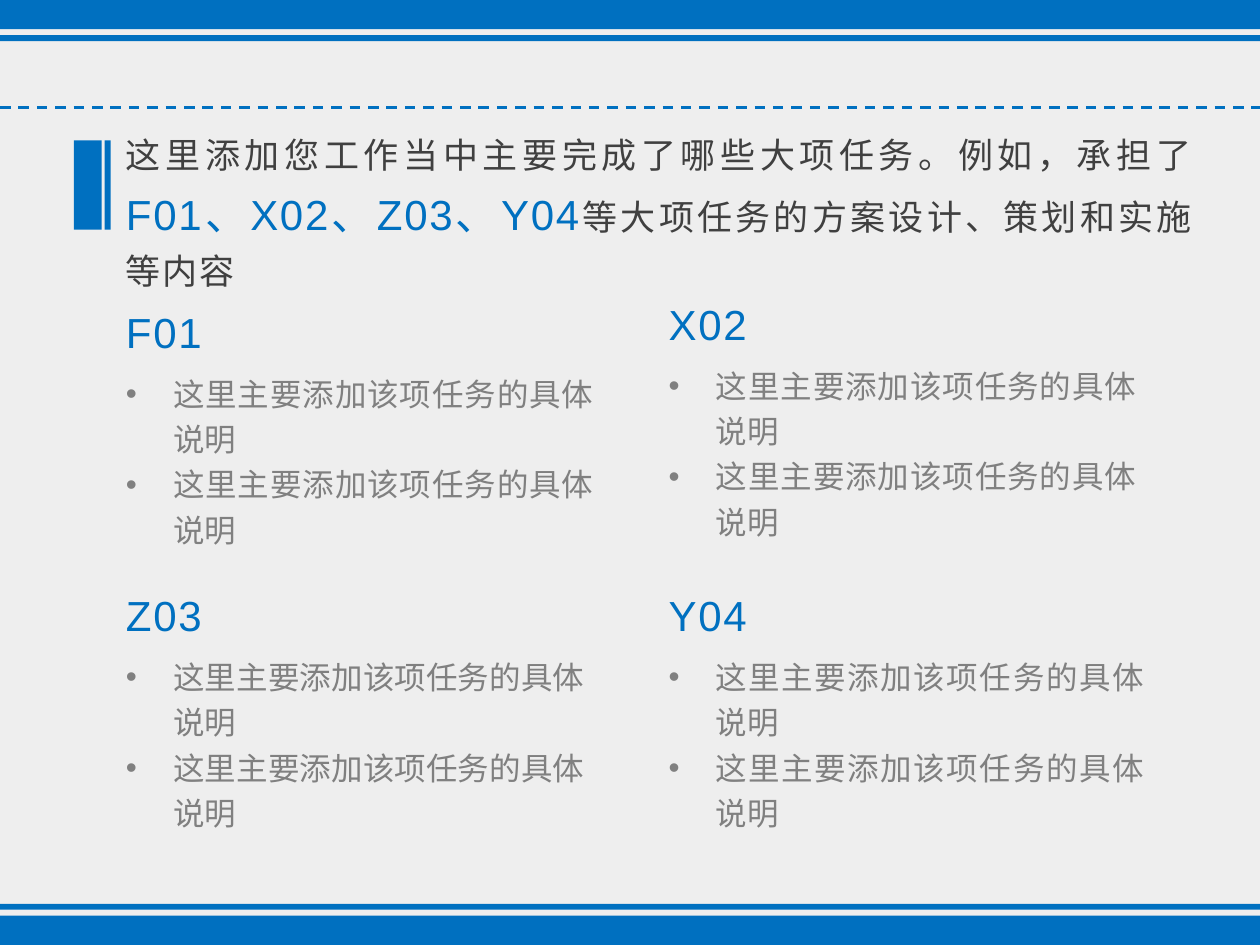
from lxml.etree import SubElement
from pptx import Presentation
from pptx.dml.color import RGBColor
from pptx.enum.dml import MSO_LINE
from pptx.enum.shapes import MSO_CONNECTOR, MSO_SHAPE
from pptx.enum.text import MSO_AUTO_SIZE, PP_ALIGN
from pptx.oxml.ns import qn
from pptx.util import Cm, Pt

BLUE = RGBColor(0x00, 0x70, 0xC0)
DARK_GRAY = RGBColor(0x40, 0x40, 0x40)
GRAY = RGBColor(0x80, 0x80, 0x80)
BACKGROUND = RGBColor(0xEE, 0xEE, 0xEE)

LATIN_FONT = "Arial"
CHINESE_FONT = "Noto Sans CJK SC"
WIDTH, HEIGHT = 25.4, 19.05
BULLET_INDENT = Cm(0.95)
TASK_DETAILS = ["这里主要添加该项任务的具体说明"] * 2
# Name, left, top, width, height in centimetres
TASKS = [
    ("F01", 2.29, 6.05, 9.93, 5.18),
    ("X02", 13.23, 5.89, 9.93, 6.12),
    ("Z03", 2.29, 11.76, 9.75, 5.33),
    ("Y04", 13.23, 11.76, 10.08, 6.12),
]


def add_bar(slide, left, top, width, height):
    shape = slide.shapes.add_shape(
        MSO_SHAPE.RECTANGLE, Cm(left), Cm(top), Cm(width), Cm(height))
    shape.shadow.inherit = False
    shape.fill.solid()
    shape.fill.fore_color.rgb = BLUE
    shape.line.fill.background()


def add_dashed_line(slide, top):
    connector = slide.shapes.add_connector(
        MSO_CONNECTOR.STRAIGHT, 0, Cm(top), Cm(WIDTH), Cm(top))
    connector.line.color.rgb = BLUE
    connector.line.width = Pt(1.5)
    connector.line.dash_style = MSO_LINE.DASH
    SubElement(connector._element.spPr, qn("a:effectLst"))


def add_text_box(slide, left, top, width, height):
    text_box = slide.shapes.add_textbox(
        Cm(left), Cm(top), Cm(width), Cm(height))
    text_frame = text_box.text_frame
    text_frame.word_wrap = True
    text_frame.auto_size = MSO_AUTO_SIZE.SHAPE_TO_FIT_TEXT
    return text_frame


def add_run(paragraph, text, size, color, font_name, spacing=0):
    """Add a run; spacing is the gap between letters in points."""
    run = paragraph.add_run()
    run.text = text
    run.font.size = Pt(size)
    run.font.color.rgb = color
    run.font.name = font_name
    properties = run.font._element
    SubElement(properties, qn("a:ea")).set("typeface", CHINESE_FONT)
    properties.set("spc", str(spacing * 100))


def add_bullet(paragraph):
    properties = paragraph._p.get_or_add_pPr()
    properties.set("marL", str(BULLET_INDENT))
    properties.set("indent", str(-BULLET_INDENT))
    SubElement(properties, qn("a:buFont")).set("typeface", LATIN_FONT)
    SubElement(properties, qn("a:buChar")).set("char", "•")


def add_summary(slide):
    text_frame = add_text_box(slide, 2.29, 2.36, 22.02, 3.68)
    paragraph = text_frame.paragraphs[0]
    paragraph.alignment = PP_ALIGN.JUSTIFY
    paragraph.line_spacing = 1.25
    add_run(paragraph, "这里添加您工作当中主要完成了哪些大项任务。例如，承担了",
            20, DARK_GRAY, CHINESE_FONT, 1)
    add_run(paragraph, "F01、X02、Z03、Y04", 24, BLUE, LATIN_FONT, 1)
    add_run(paragraph, "等大项任务的方案设计、策划和实施等内容",
            20, DARK_GRAY, CHINESE_FONT, 1)


def add_task(slide, name, left, top, width, height):
    text_frame = add_text_box(slide, left, top, width, height)
    heading = text_frame.paragraphs[0]
    heading.alignment = PP_ALIGN.JUSTIFY
    heading.space_after = Pt(6)
    add_run(heading, name, 24, BLUE, LATIN_FONT, 1)
    for detail in TASK_DETAILS:
        paragraph = text_frame.add_paragraph()
        add_bullet(paragraph)
        paragraph.alignment = PP_ALIGN.JUSTIFY
        paragraph.line_spacing = 1.2
        add_run(paragraph, detail, 18, GRAY, CHINESE_FONT)


def add_frame(slide):
    """Draw a thick and a thin bar along the top and bottom edges."""
    for offset, thickness in ((0, 0.59), (0.71, 0.12)):
        add_bar(slide, 0, offset, WIDTH, thickness)
        add_bar(slide, 0, HEIGHT - offset - thickness, WIDTH, thickness)


def main():
    presentation = Presentation()
    presentation.slide_width = Cm(WIDTH)
    presentation.slide_height = Cm(HEIGHT)
    slide = presentation.slides.add_slide(presentation.slide_layouts[6])
    slide.background.fill.solid()
    slide.background.fill.fore_color.rgb = BACKGROUND

    add_frame(slide)
    add_dashed_line(slide, 2.17)
    add_summary(slide)
    for left, width in ((1.49, 0.56), (2.11, 0.12)):
        add_bar(slide, left, 2.83, width, 1.8)
    for task in TASKS:
        add_task(slide, *task)
    presentation.save("out.pptx")


if __name__ == "__main__":
    main()
